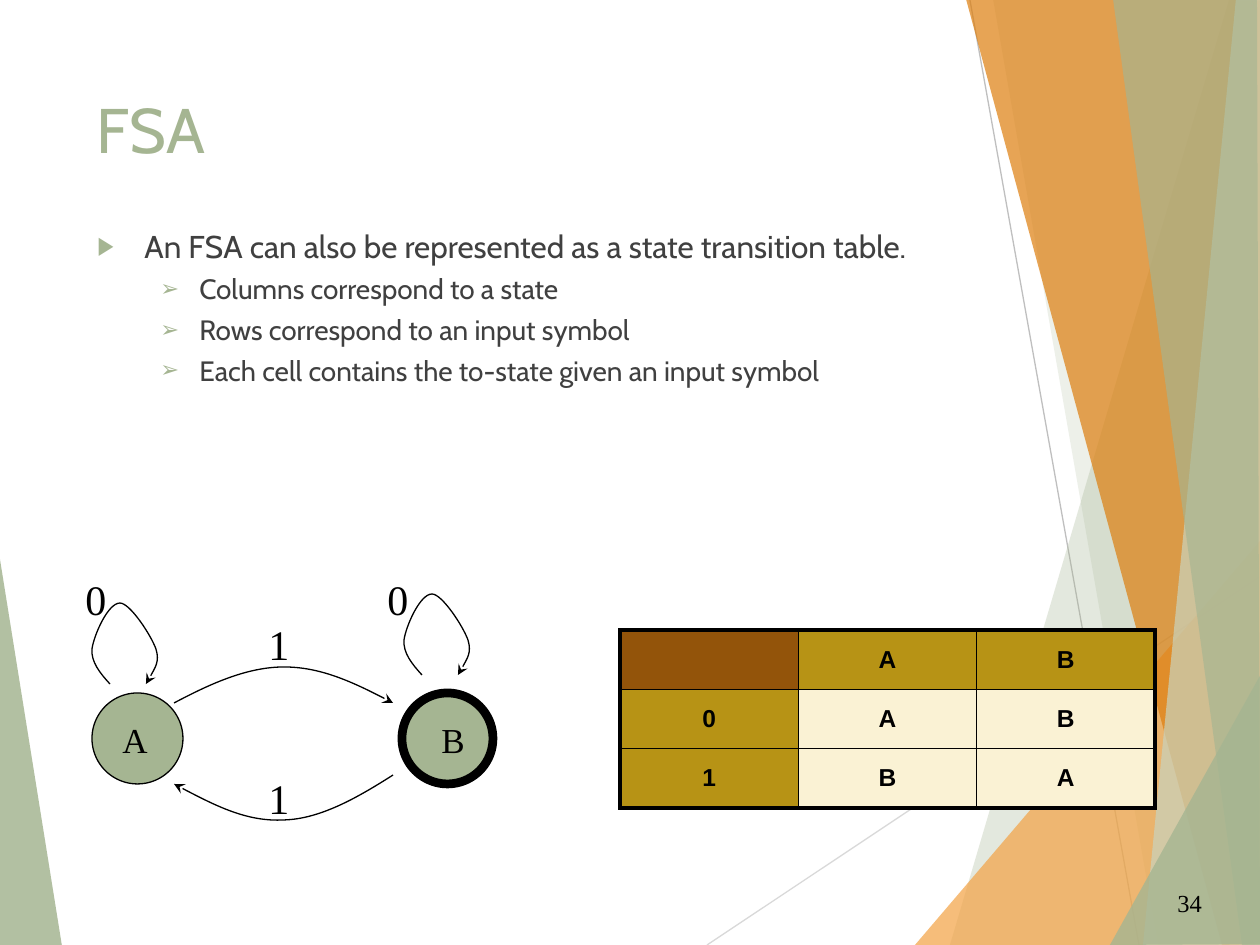
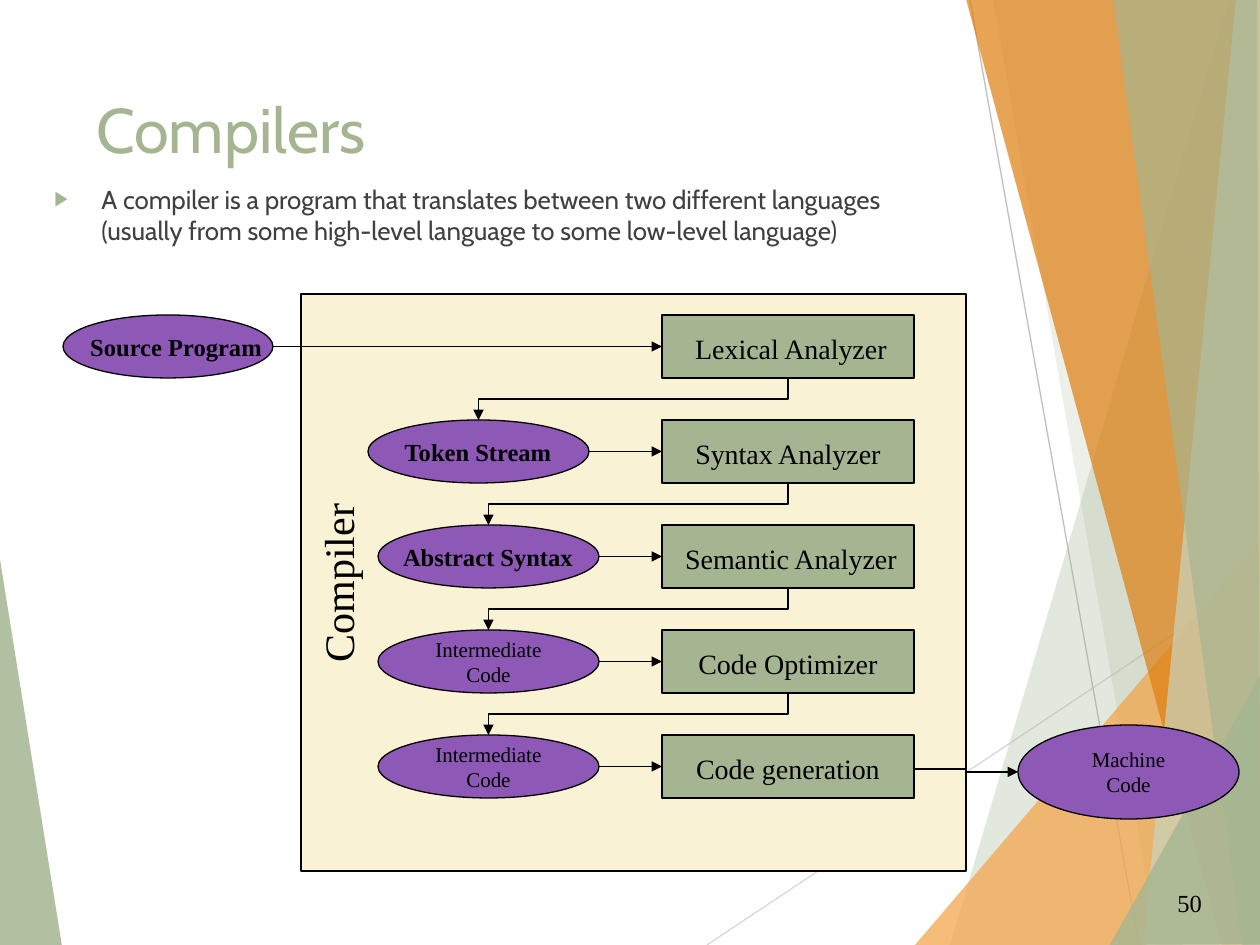
import lxml.etree
import pptx
import pptx.dml.color
import pptx.enum.shapes
import pptx.enum.text
import pptx.oxml.ns
import pptx.util

SCALE = 914400 / 126
COLORS = {
    "sage": "A5B592", "pale_sage": "C9D3BE", "orange": "DD7E0E", "light_orange": "F3A447",
    "grey": "BFBFBF", "light_grey": "D9D9D9", "text": "404040", "black": "000000",
    "cream": "FAF2D4", "purple": "8E58B6", "gold": "B79315", "brown": "93540A",
}
SERIF, SANS, PLAIN = "Times New Roman", "Cabin", "Arial"
SHAPES = pptx.enum.shapes.MSO_SHAPE
CONNECTORS = pptx.enum.shapes.MSO_CONNECTOR
ALIGN = pptx.enum.text.PP_ALIGN
ANCHOR = pptx.enum.text.MSO_ANCHOR

# Background facets: colour, opacity in percent, corners
FACETS = [
    ("sage", 30, [(1229, 0), (950, 945), (1263, 946), (1261, 1)]),
    ("sage", 20, [(993, -1), (1158, 945), (1261, 945), (1261, -1)]),
    ("light_orange", 72, [(915, 945), (1260, 541), (1261, 945)]),
    ("orange", 70, [(966, -1), (1222, 945), (1261, 944), (1261, -1)]),
    ("pale_sage", 70, [(1236, -1), (1143, 945), (1261, 945), (1260, -1)]),
    ("sage", 65, [(1113, -1), (1242, 945), (1260, 945), (1257, -1)]),
    ("sage", 80, [(1110, 945), (1261, 674), (1261, 944)]),
]


def px(length):
    return pptx.util.Emu(round(length * SCALE))


def rgb(name):
    return pptx.dml.color.RGBColor.from_string(COLORS[name])


def add_xml(parent, tag, **attributes):
    return lxml.etree.SubElement(parent, pptx.oxml.ns.qn(tag), attributes)


def paint(shape, fill=None, line=None, width=0.75):
    shape.shadow.inherit = False
    if fill:
        shape.fill.solid()
        shape.fill.fore_color.rgb = rgb(fill)
    else:
        shape.fill.background()
    if line:
        shape.line.color.rgb = rgb(line)
        shape.line.width = pptx.util.Pt(width)
    else:
        shape.line.fill.background()


def add_arrowhead(shape, end, kind):
    outline = shape.element.spPr.find(pptx.oxml.ns.qn("a:ln"))
    add_xml(outline, f"a:{end}", type=kind)


def add_run(paragraph, text, size, font=SERIF, color="black", bold=False):
    run = paragraph.add_run()
    run.text = text
    run.font.size = pptx.util.Pt(size)
    run.font.name = font
    run.font.bold = bold
    run.font.color.rgb = rgb(color)


def add_label(slide, box, text, size, align=ALIGN.LEFT, **style):
    shape = slide.shapes.add_textbox(*map(px, box))
    shape.text_frame.word_wrap = True
    paragraph = shape.text_frame.paragraphs[0]
    paragraph.alignment = align
    add_run(paragraph, text, size, **style)


def add_box(slide, kind, box, fill, line="black", width=0.75):
    shape = slide.shapes.add_shape(kind, *map(px, box))
    paint(shape, fill, line, width)
    return shape


def add_outline(slide, points, closed):
    points = [(px(x), px(y)) for x, y in points]
    builder = slide.shapes.build_freeform(*points[0])
    builder.add_line_segments(points[1:], close=closed)
    return builder.convert_to_shape()


def add_line(slide, start, end, color="black", arrow=None, kind=CONNECTORS.STRAIGHT):
    connector = slide.shapes.add_connector(kind, *map(px, (*start, *end)))
    connector.line.color.rgb = rgb(color)
    connector.line.width = pptx.util.Pt(0.75)
    if arrow:
        add_arrowhead(connector, "tailEnd", arrow)
    add_xml(connector.element.spPr, "a:effectLst")
    return connector


def add_down_elbow(slide, start, end):
    """Elbow that leaves downwards and turns left: a level elbow turned by 90 degrees."""
    middle_x, middle_y = (start[0] + end[0]) / 2, (start[1] + end[1]) / 2
    half_width, half_height = (end[1] - start[1]) / 2, (start[0] - end[0]) / 2
    connector = add_line(slide, (middle_x - half_width, middle_y - half_height),
                         (middle_x + half_width, middle_y + half_height),
                         arrow="triangle", kind=CONNECTORS.ELBOW)
    connector.element.spPr.find(pptx.oxml.ns.qn("a:xfrm")).set("rot", "5400000")


def add_curve(slide, origin, controls, end):
    """Chain of cubic curves with an arrowhead at one end."""
    shape = add_outline(slide, [(origin[0] + x, origin[1] + y) for x, y in controls], False)
    segments = shape.element.spPr.findall(".//" + pptx.oxml.ns.qn("a:lnTo"))
    outline = segments[0].getparent()
    for index, segment in enumerate(segments):
        if index % 3 == 0:
            curve = add_xml(outline, "a:cubicBezTo")
        curve.append(segment[0])
        outline.remove(segment)
    paint(shape, line="black")
    add_arrowhead(shape, end, "stealth")


# Shared slide parts
def add_facet(slide, color, opacity, points):
    shape = add_outline(slide, points, True)
    paint(shape, color)
    fill_color = shape.element.spPr.find(".//" + pptx.oxml.ns.qn("a:srgbClr"))
    add_xml(fill_color, "a:alpha", val=str(opacity * 1000))


def add_base_slide(presentation, title, number):
    slide = presentation.slides.add_slide(presentation.slide_layouts[6])
    add_facet(slide, "sage", 85, [(-1, 553), (62, 946), (-1, 945)])
    add_line(slide, (707, 945), (1261, 576), "light_grey")
    add_line(slide, (970, 0), (1139, 945), "grey")
    for facet in FACETS:
        add_facet(slide, *facet)
    add_label(slide, (1165, 882, 63, 42), number, 14)
    add_label(slide, (84, 84, 874, 116), title, 36, font=SANS, color="sage")
    return slide


def add_bullets(slide, box, items):
    """Each item is (level, size, text)."""
    frame = slide.shapes.add_textbox(*map(px, box)).text_frame
    frame.word_wrap = True
    for index, (level, size, text) in enumerate(items):
        paragraph = frame.add_paragraph() if index else frame.paragraphs[0]
        paragraph.level = level
        paragraph.space_before = pptx.util.Pt((10, 4)[level])
        properties = paragraph._p.get_or_add_pPr()
        properties.set("marL", str(px((47, 102)[level])))
        properties.set("indent", str(-px((47, 39)[level])))
        add_xml(add_xml(properties, "a:buClr"), "a:srgbClr", val=COLORS["sage"])
        add_xml(properties, "a:buSzPct", val="80000")
        add_xml(properties, "a:buFont", typeface=PLAIN)
        add_xml(properties, "a:buChar", char="▶➢"[level])
        add_run(paragraph, text, size, SANS, "text")


# Two-state automaton
def add_automaton(slide, box):
    left, top = box[:2]
    for x, width in ((19, 0.75), (329, 5)):
        add_box(slide, SHAPES.OVAL, (left + x, top + 126, 91, 91), "sage", width=width)
    upper = [(101, 136), (137, 117), (174, 100), (211, 100), (247, 100), (284, 117), (320, 136)]
    lower = [(101, 217), (137, 236), (174, 255), (211, 253), (247, 252), (284, 231), (320, 208)]
    loop = [(0, 0), (-10, -11), (-19, -22), (-18, -35), (-16, -49), (-2, -81), (10, -81),
            (20, -81), (41, -49), (46, -35), (50, -22), (39, -5), (36, 0)]
    add_curve(slide, (left, top), upper, "tailEnd")
    add_curve(slide, (left, top), lower, "headEnd")
    for x, y in ((37, 117), (349, 108)):
        add_curve(slide, (left + x, top + y), loop, "tailEnd")
    for text, size, x, y in (("0", 24, 0, 0), ("0", 24, 302, 0), ("1", 24, 183, 45),
                             ("1", 24, 183, 199), ("A", 20, 37, 145), ("B", 20, 356, 145)):
        add_label(slide, (left + x, top + y, 55, 2.6 * size), text, size)


# State transition table
def add_transition_table(slide, box, rows):
    count = len(rows)
    table = slide.shapes.add_table(count, count, *map(px, box)).table
    table.first_row = table.horz_banding = False
    for index in range(count):
        table.columns[index].width = px(box[2] / count)
        table.rows[index].height = px(box[3] / count)
    for row, texts in enumerate(rows):
        for column, text in enumerate(texts):
            cell = table.cell(row, column)
            properties = cell._tc.get_or_add_tcPr()
            edges = {"L": column == 0, "R": column == count - 1,
                     "T": row == 0, "B": row == count - 1}
            for side, outer in edges.items():
                width = pptx.util.Pt(2.25 if outer else 1)
                border = add_xml(properties, f"a:ln{side}", w=str(width))
                add_xml(add_xml(border, "a:solidFill"), "a:srgbClr", val=COLORS["black"])
            cell.fill.solid()
            cell.fill.fore_color.rgb = rgb(
                "cream" if row and column else "gold" if row or column else "brown")
            cell.vertical_anchor = ANCHOR.MIDDLE
            if text:
                paragraph = cell.text_frame.paragraphs[0]
                paragraph.alignment = ALIGN.CENTER
                add_run(paragraph, text, 14, PLAIN, bold=True)


# Compiler pipeline
def add_data(slide, box, lines):
    """Ellipse with one bold line, or with several plain small ones."""
    shape = add_box(slide, SHAPES.OVAL, box, "purple")
    if len(lines) == 1:
        left, top = box[:2]
        add_label(slide, (left + 5, top + 11, 210, 42), lines[0], 14, ALIGN.CENTER, bold=True)
        return
    frame = shape.text_frame
    frame.word_wrap = False
    frame.vertical_anchor = ANCHOR.MIDDLE
    for index, line in enumerate(lines):
        paragraph = frame.add_paragraph() if index else frame.paragraphs[0]
        paragraph.alignment = ALIGN.CENTER
        add_run(paragraph, line, 12)


def add_pipeline(slide, box):
    left, top = box[:2]
    add_box(slide, SHAPES.RECTANGLE, box, "cream")

    # Upright caption
    caption = add_box(slide, SHAPES.RECTANGLE, (left - 242, top + 257, 558, 64), "cream", None)
    caption.rotation = 270
    caption.text_frame.vertical_anchor = ANCHOR.TOP
    caption.text_frame.word_wrap = True
    paragraph = caption.text_frame.paragraphs[0]
    paragraph.alignment = ALIGN.CENTER
    add_run(paragraph, "Compiler", 24)

    # Each stage: its input, the input's left and width, the analyzer, its label's shift
    stages = [
        ([" Source Program"], -238, 210, "Lexical Analyzer", 3),
        (["Token Stream"], 67, 221, "Syntax Analyzer", 0),
        (["Abstract Syntax"], 77, 221, "Semantic Analyzer", 3),
        (["Intermediate", "Code"], 77, 221, "Code Optimizer", 0),
        (["Intermediate", "Code"], 77, 221, "Code generation", 0),
    ]
    step_left, step_width, height, pitch = left + 361, 252, 63, 105
    for index, (lines, x, width, name, shift) in enumerate(stages):
        y = top + 21 + index * pitch
        add_box(slide, SHAPES.RECTANGLE, (step_left, y, step_width, height), "sage")
        add_label(slide, (step_left + shift, y + 10, step_width, 47), name, 16, ALIGN.CENTER)
        add_data(slide, (left + x, y, width, height), lines)
        if index:
            add_down_elbow(slide, (step_left + step_width / 2, y - pitch + height),
                           (left + x + width / 2, y))
        add_line(slide, (left + x + width, y + height / 2), (step_left, y + height / 2),
                 arrow="triangle")

    # Result
    add_data(slide, (left + 717, top + 431, 221, 94), ["Machine", "Code"])
    add_line(slide, (step_left + step_width, top + 475), (left + 717, top + 478),
             arrow="triangle", kind=CONNECTORS.ELBOW)


presentation = pptx.Presentation()
presentation.slide_width, presentation.slide_height = px(1260), px(945)

slide = add_base_slide(presentation, "FSA", "34")
add_bullets(slide, (85, 221, 874, 612), [
    (0, 18, "An FSA can also be represented as a state transition table."),
    (1, 16, "Columns correspond to a state"),
    (1, 16, "Rows correspond to an input symbol"),
    (1, 16, "Each cell contains the to-state given an input symbol"),
])
add_automaton(slide, (73, 567, 425, 262))
add_transition_table(slide, (620, 630, 535, 178),
                     [("", "A", "B"), ("0", "A", "B"), ("1", "B", "A")])

slide = add_base_slide(presentation, "Compilers", "50")
add_bullets(slide, (42, 177, 924, 91), [
    (0, 14.8, "A compiler is a program that translates between two different languages "
              "(usually from some high-level language to some low-level language)"),
])
add_pipeline(slide, (301, 294, 665, 577))

presentation.save("out.pptx")
